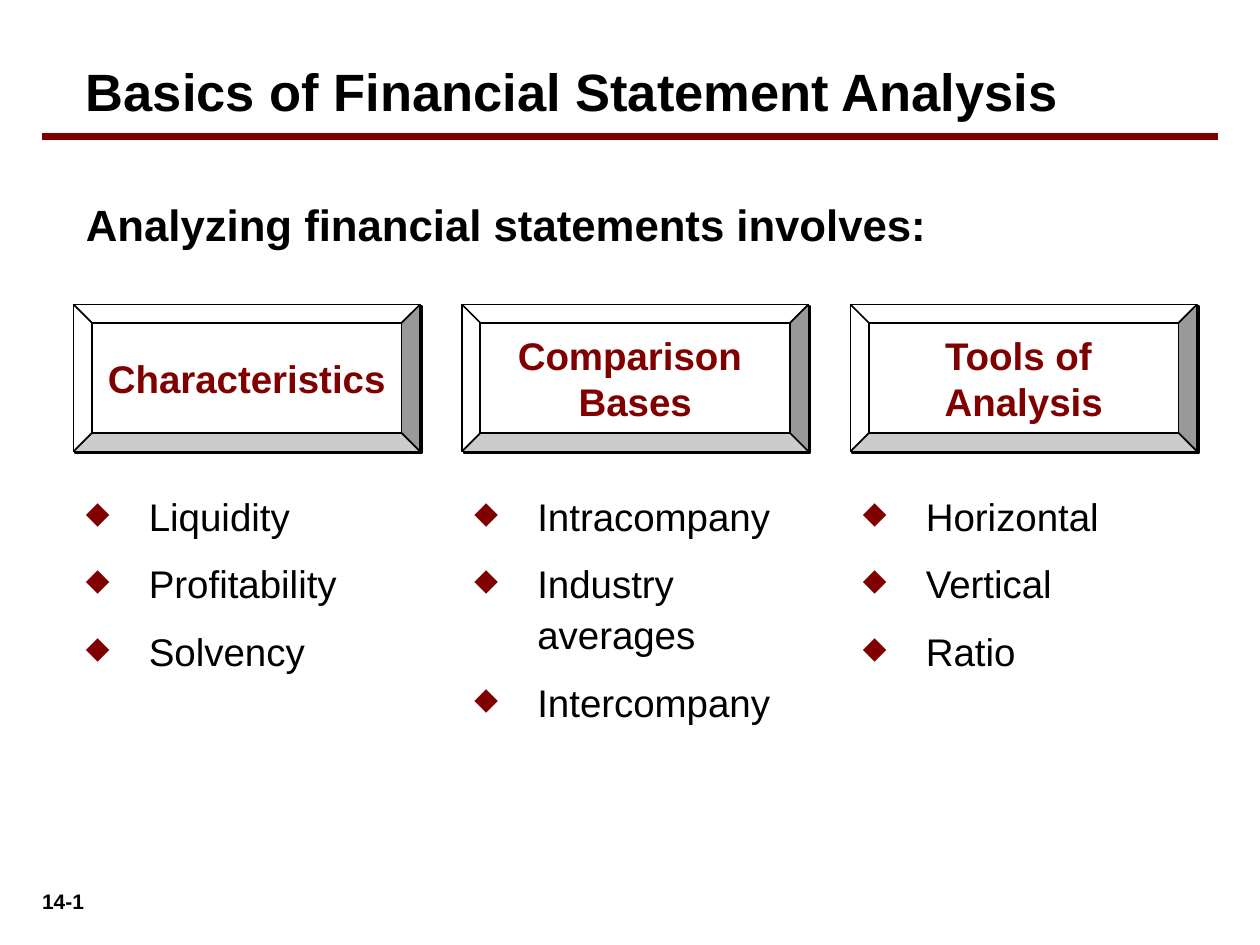
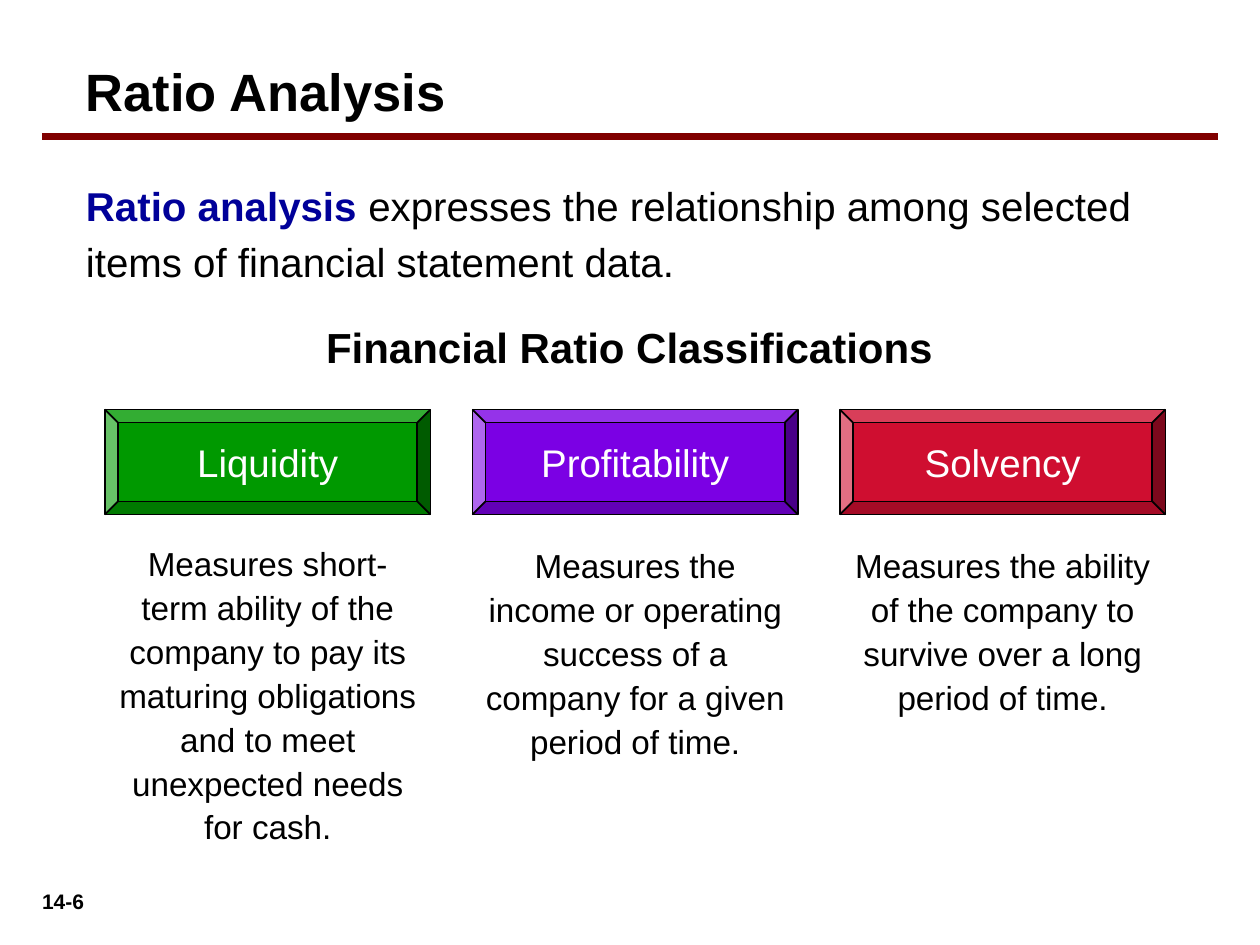
import dataclasses
import typing

import lxml.etree
import pptx
import pptx.dml.color
import pptx.enum.shapes
import pptx.enum.text
import pptx.oxml.ns
import pptx.util

PX = 7620
FONT = "Arial"
COLORS = {
    "black": "000000",
    "white": "FFFFFF",
    "maroon": "800000",
    "navy": "000099",
    "green": "009900",
    "purple": "7B00E4",
    "red": "CF0E30",
}
ALIGN = pptx.enum.text.PP_ALIGN
ANCHOR = pptx.enum.text.MSO_ANCHOR
AUTO = pptx.enum.text.MSO_AUTO_SIZE


class Box(typing.NamedTuple):
    left: int
    top: int
    width: int
    height: int


@dataclasses.dataclass(frozen=True)
class Style:
    size: int
    color: str = "black"
    bold: bool = False
    align: ALIGN = ALIGN.LEFT
    line: float = 1.0
    before: float = 0
    bullet: bool = False
    wrap: bool = True
    inset_top: int = 6


@dataclasses.dataclass(frozen=True)
class Topic:
    heading: list[str]
    items: list[str]
    list_height: int


@dataclasses.dataclass(frozen=True)
class Ratio:
    name: str
    color: str
    meaning: str
    meaning_top: int
    meaning_height: int


TITLE = Style(30, bold=True)
NUMBER = Style(12, bold=True, align=ALIGN.CENTER, before=7.5)
LEAD = Style(25, bold=True, line=1.05, before=10.9)
TOPIC = Style(22, "maroon", bold=True, align=ALIGN.CENTER, wrap=False)
ITEMS = Style(22, line=1.1, before=9.6, bullet=True, inset_top=15)
DEFINITION = Style(23, line=1.15, before=20.1)
SUBTITLE = Style(24, bold=True, align=ALIGN.CENTER, wrap=False)
RATIO = Style(22, "white", align=ALIGN.CENTER, wrap=False)
MEANING = Style(19, align=ALIGN.CENTER, line=1.1, before=11.9)

TOPICS = [
    Topic(["Characteristics"], ["Liquidity", "Profitability", "Solvency"], 210),
    Topic(["Comparison ", "Bases"],
          ["Intracompany", "Industry averages", "Intercompany"], 310),
    Topic(["Tools of ", "Analysis"], ["Horizontal", "Vertical", "Ratio"], 310),
]
RATIOS = [
    Ratio("Liquidity", "green",
          "Measures short-term ability of the company to pay its maturing "
          "obligations and to meet unexpected needs for cash.", 508, 305),
    Ratio("Profitability", "purple",
          "Measures the income or operating success of a company for a given "
          "period of time.", 510, 221),
    Ratio("Solvency", "red",
          "Measures the ability of the company to survive over a long period "
          "of time.", 510, 179),
]


def px(n: int) -> int:
    return n * PX


def rgb(name: str) -> pptx.dml.color.RGBColor:
    return pptx.dml.color.RGBColor.from_string(COLORS[name])


def add_xml(parent: typing.Any, tag: str, **attrs: str) -> typing.Any:
    return lxml.etree.SubElement(parent, pptx.oxml.ns.qn(tag), attrs)


def set_bullet(p: typing.Any) -> None:
    pPr = p._p.get_or_add_pPr()
    pPr.set("marL", str(px(60)))
    pPr.set("indent", str(px(-60)))
    add_xml(add_xml(pPr, "a:buClr"), "a:srgbClr", val=COLORS["maroon"])
    add_xml(pPr, "a:buSzPct", val="80000")
    add_xml(pPr, "a:buChar", char="◆")


def set_font(font: typing.Any, size: int, color: str, bold: bool) -> None:
    font.name = FONT
    font.size = pptx.util.Pt(size)
    font.bold = bold
    font.color.rgb = rgb(color)


def write(sp: typing.Any, lines: list[str], style: Style) -> None:
    tf = sp.text_frame
    tf.word_wrap = style.wrap
    tf.margin_left = tf.margin_right = px(12)
    tf.margin_top, tf.margin_bottom = px(style.inset_top), px(6)
    for i, line in enumerate(lines):
        p = tf.add_paragraph() if i else tf.paragraphs[0]
        p.alignment = style.align
        p.line_spacing = style.line
        p.space_before = pptx.util.Pt(style.before)
        if style.bullet:
            set_bullet(p)
        set_font(p.font, style.size, style.color, style.bold)
        p.add_run().text = line


def add_text(s: typing.Any, box: Box, lines: list[str], style: Style) -> typing.Any:
    sp = s.shapes.add_textbox(*map(px, box))
    write(sp, lines, style)
    sp.text_frame.auto_size = AUTO.NONE
    return sp


def add_bevel(s: typing.Any, box: Box, lines: list[str], style: Style,
              fill: str, shadow: bool = False) -> None:
    sp = s.shapes.add_shape(pptx.enum.shapes.MSO_SHAPE.BEVEL, *map(px, box))
    sp.adjustments[0] = 0.125
    sp.fill.solid()
    sp.fill.fore_color.rgb = rgb(fill)
    sp.line.color.rgb = rgb("black")
    sp.line.width = pptx.util.Pt(1)
    sp.shadow.inherit = False
    if shadow:
        effects = sp._element.spPr.find(pptx.oxml.ns.qn("a:effectLst"))
        outer = add_xml(effects, "a:outerShdw", dist="17961", dir="2700000",
                        algn="ctr", rotWithShape="0")
        add_xml(outer, "a:srgbClr", val=COLORS["black"])
    write(sp, lines, style)
    sp.text_frame.vertical_anchor = ANCHOR.MIDDLE


def add_slide(prs: typing.Any, title: str, title_width: int, number: str) -> typing.Any:
    s = prs.slides.add_slide(prs.slide_layouts[6])
    add_text(s, Box(10, 840, 100, 36), [number], NUMBER)
    add_text(s, Box(70, 50, title_width, 73), [title], TITLE)
    rule = s.shapes.add_connector(pptx.enum.shapes.MSO_CONNECTOR.STRAIGHT,
                                  px(40), px(130), px(1160), px(130))
    rule.line.color.rgb = rgb("maroon")
    rule.line.width = pptx.util.Pt(4.5)
    add_xml(rule._element.spPr, "a:effectLst")
    return s


def build_basics(prs: typing.Any) -> None:
    s = add_slide(prs, "Basics of Financial Statement Analysis", 1000, "14-1")
    add_text(s, Box(70, 180, 1050, 65),
             ["Analyzing financial statements involves:"], LEAD)
    for i, topic in enumerate(TOPICS):
        left = 70 + 370 * i
        add_bevel(s, Box(left, 290, 330, 140), topic.heading, TOPIC, "white", True)
        add_text(s, Box(left, 450, 310, topic.list_height), topic.items, ITEMS)


def build_ratios(prs: typing.Any) -> None:
    s = add_slide(prs, "Ratio Analysis", 1080, "14-6")
    sp = add_text(s, Box(70, 160, 1040, 118), ["Ratio analysis "], DEFINITION)
    p = sp.text_frame.paragraphs[0]
    set_font(p.runs[0].font, DEFINITION.size, "navy", True)
    r = p.add_run()
    r.text = "expresses the relationship among selected items of financial statement data."
    set_font(r.font, DEFINITION.size, "black", False)
    add_text(s, Box(299, 300, 601, 60), ["Financial Ratio Classifications"], SUBTITLE)
    for i, ratio in enumerate(RATIOS):
        left = 100 + 350 * i
        add_bevel(s, Box(left, 390, 310, 100), [ratio.name], RATIO, ratio.color)
        add_text(s, Box(left, ratio.meaning_top, 310, ratio.meaning_height),
                 [ratio.meaning], MEANING)


def main() -> None:
    prs = pptx.Presentation()
    prs.slide_width, prs.slide_height = px(1200), px(900)
    build_basics(prs)
    build_ratios(prs)
    prs.save("out.pptx")


if __name__ == "__main__":
    main()
